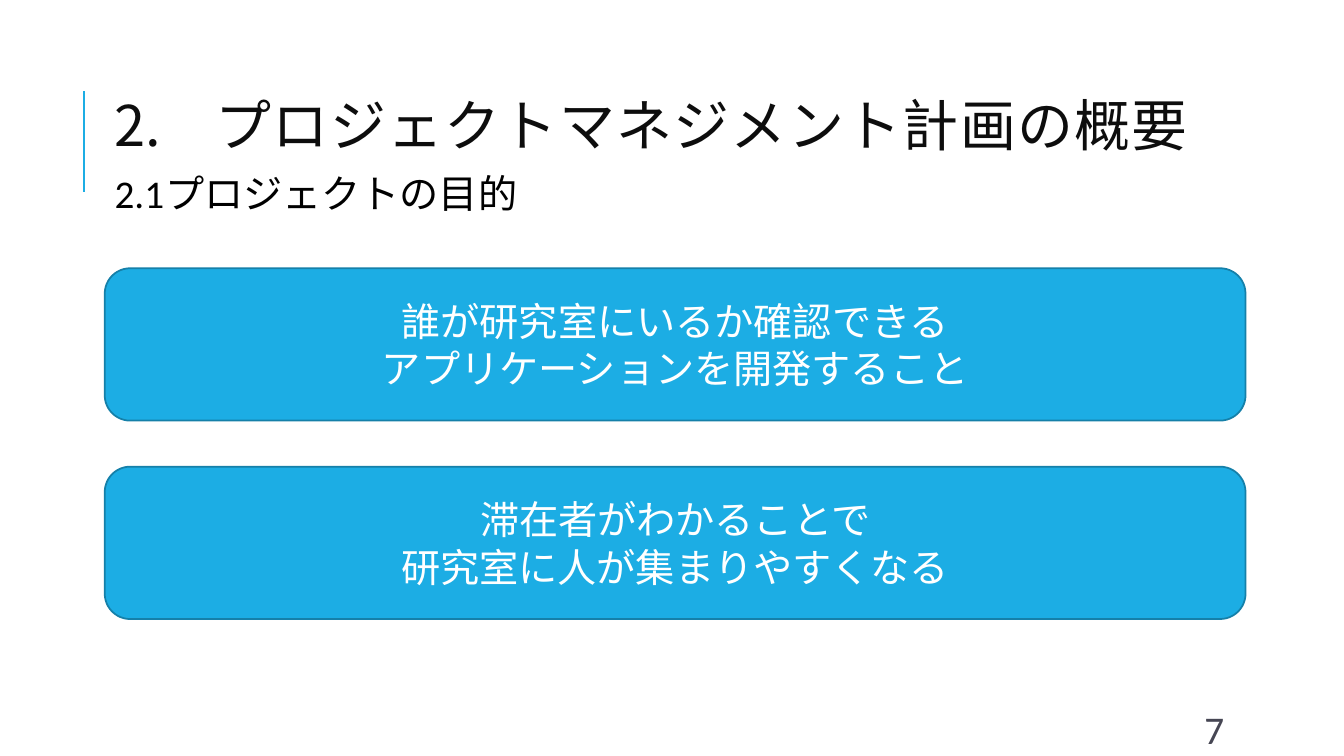
import pptx
import pptx.dml.color
import pptx.enum.shapes
import pptx.enum.text
import pptx.oxml.ns
import pptx.util
from lxml import etree

Cm = pptx.util.Cm
Pt = pptx.util.Pt
Align = pptx.enum.text.PP_ALIGN
Anchor = pptx.enum.text.MSO_ANCHOR
qn = pptx.oxml.ns.qn

COLOURS = {
    "accent": "1CADE4",
    "outline": "1580A9",
    "title": "0D0D0D",
    "text": "000000",
    "number": "464653",
    "white": "FFFFFF",
}
FONT = "Calibri"
LEFT = 2.64
GOALS = [
    ["誰が研究室にいるか確認できる", "アプリケーションを開発すること"],
    ["滞在者がわかることで", "研究室に人が集まりやすくなる"],
]
GOAL_TOP, GOAL_STEP = 6.76, 5


def colour(name):
    return pptx.dml.color.RGBColor.from_string(COLOURS[name])


def write(frame, lines, size=28, ink="text", align=Align.LEFT, anchor=Anchor.TOP):
    frame.word_wrap = True
    frame.auto_size = pptx.enum.text.MSO_AUTO_SIZE.NONE
    frame.vertical_anchor = anchor
    for index, line in enumerate(lines):
        para = frame.add_paragraph() if index else frame.paragraphs[0]
        para.alignment = align
        span = para.add_run()
        span.text = line
        span.font.name = FONT
        span.font.size = Pt(size)
        span.font.color.rgb = colour(ink)


def place(shape, left, top, width, height):
    shape.left, shape.top = Cm(left), Cm(top)
    shape.width, shape.height = Cm(width), Cm(height)


def add_title(page, text, number):
    title = page.shapes.title
    place(title, LEFT, 1.63, 31.5, 3.3)
    write(title.text_frame, [text], size=40, ink="title", anchor=Anchor.MIDDLE)
    para = title.text_frame.paragraphs[0]
    para.line_spacing = 0.8
    para.runs[0].font._element.set("spc", "100")
    properties = para._p.get_or_add_pPr()
    properties.set("marL", str(Cm(2.54)))
    properties.set("indent", str(Cm(-2.54)))
    etree.SubElement(properties, qn("a:buFont"), typeface="+mj-lt")
    etree.SubElement(properties, qn("a:buAutoNum"), type="arabicPeriod", startAt=str(number))


def add_text(page, text, left, top, width, height, **style):
    box = page.shapes.add_textbox(Cm(left), Cm(top), Cm(width), Cm(height))
    write(box.text_frame, [text], **style)


def add_rule(page, left, top, bottom):
    rule = page.shapes.add_connector(
        pptx.enum.shapes.MSO_CONNECTOR.STRAIGHT, Cm(left), Cm(bottom), Cm(left), Cm(top))
    rule.line.color.rgb = colour("accent")
    rule.line.width = Pt(1.5)
    etree.SubElement(rule._element.spPr, qn("a:effectLst"))


def add_goal(page, lines, top):
    panel = page.shapes.add_shape(
        pptx.enum.shapes.MSO_SHAPE.ROUNDED_RECTANGLE, Cm(LEFT), Cm(top), Cm(28.75), Cm(3.84))
    panel.shadow.inherit = False
    panel.fill.solid()
    panel.fill.fore_color.rgb = colour("accent")
    panel.line.color.rgb = colour("outline")
    panel.line.width = Pt(1.25)
    write(panel.text_frame, lines, ink="white", align=Align.CENTER, anchor=Anchor.MIDDLE)


def main():
    deck = pptx.Presentation()
    deck.slide_width, deck.slide_height = Cm(33.87), Cm(19.05)
    page = deck.slides.add_slide(deck.slide_layouts.get_by_name("Title Only"))
    add_rule(page, 2.11, 2.29, 4.83)
    add_title(page, "プロジェクトマネジメント計画の概要", 2)
    add_text(page, "2.1\tプロジェクトの目的", LEFT, 4.14, 21.34, 1.45)
    for index, lines in enumerate(GOALS):
        add_goal(page, lines, GOAL_TOP + index * GOAL_STEP)
    add_text(page, "7", 30.1, 17.98, 2.69, 0.76, ink="number", anchor=Anchor.MIDDLE)
    deck.save("out.pptx")


if __name__ == "__main__":
    main()
